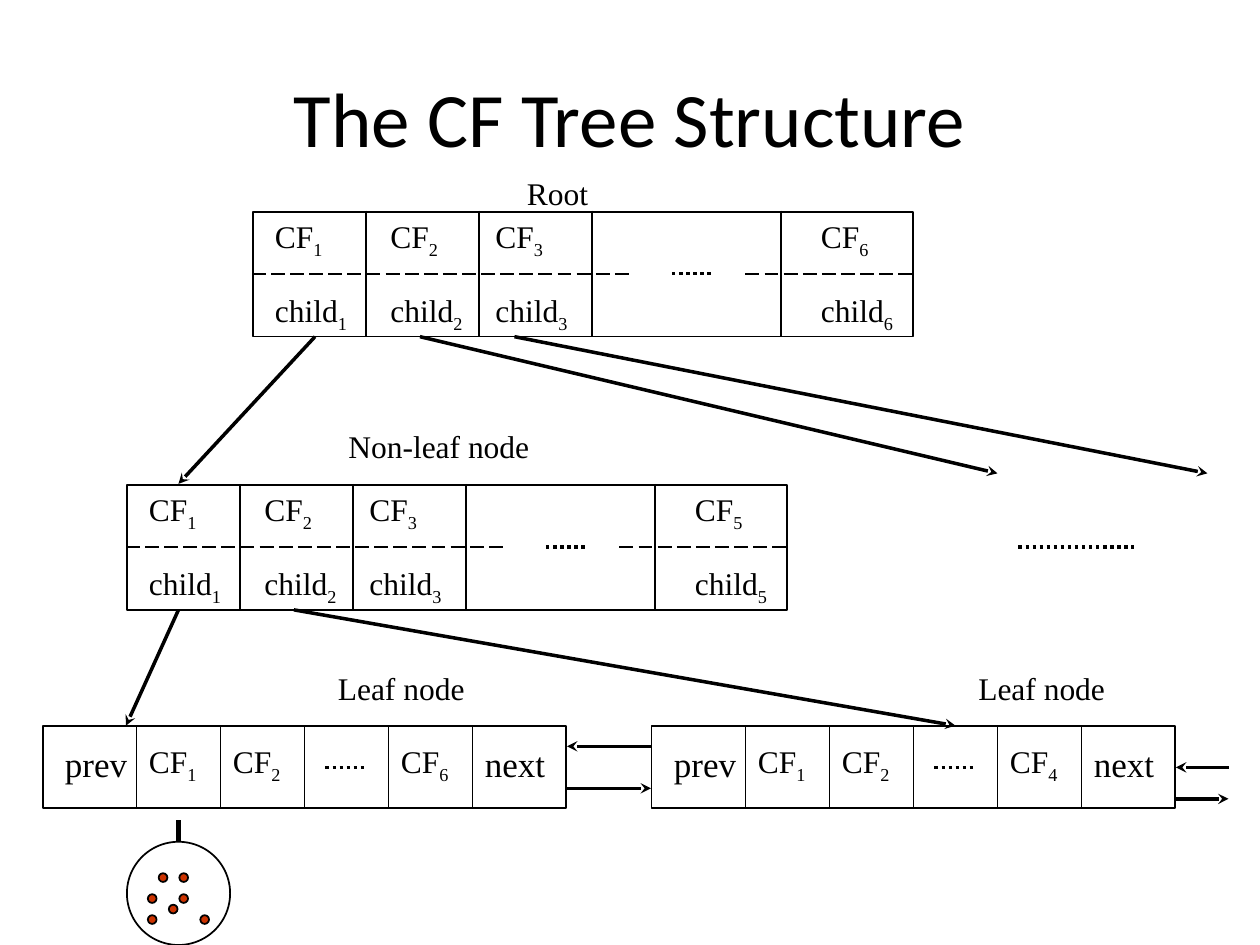
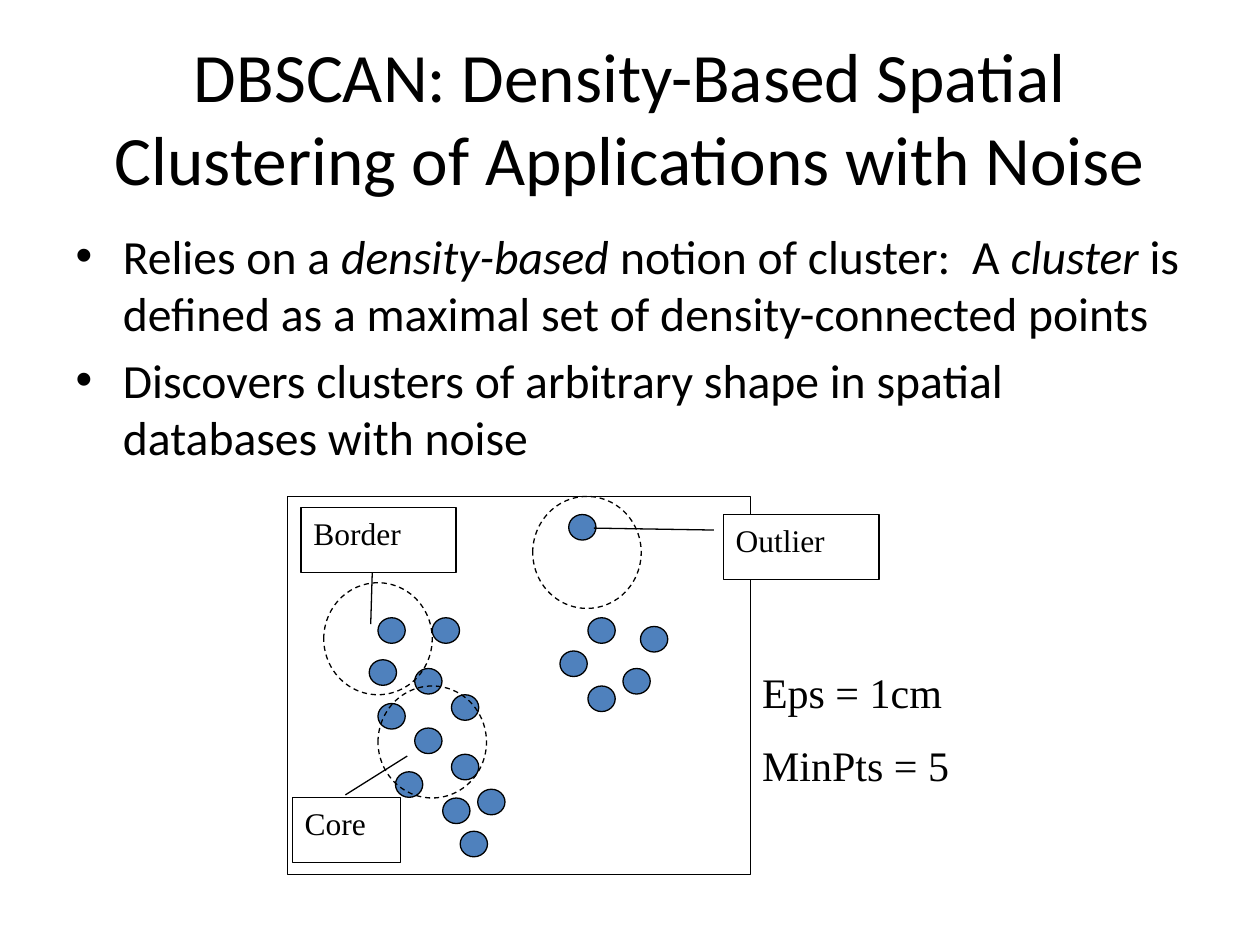
from lxml import etree
from pptx import Presentation
from pptx.dml.color import RGBColor
from pptx.enum.dml import MSO_LINE
from pptx.enum.shapes import MSO_CONNECTOR, MSO_SHAPE
from pptx.enum.text import MSO_ANCHOR, MSO_AUTO_SIZE, PP_ALIGN
from pptx.oxml.ns import qn
from pptx.util import Pt

BLACK = RGBColor(0x00, 0x00, 0x00)
WHITE = RGBColor(0xFF, 0xFF, 0xFF)
RED = RGBColor(0xCC, 0x33, 0x00)
BLUE = RGBColor(0x4F, 0x81, 0xBD)

HEADING_FONT = "Calibri"
DIAGRAM_FONT = "Times New Roman"

RECTANGLE = MSO_SHAPE.RECTANGLE
OVAL = MSO_SHAPE.OVAL
CALLOUT = MSO_SHAPE.LINE_CALLOUT_1
STRAIGHT = MSO_CONNECTOR.STRAIGHT
DASH, LONG_DASH, DOTS = MSO_LINE.DASH, MSO_LINE.LONG_DASH, MSO_LINE.ROUND_DOT
TOP = MSO_ANCHOR.TOP
LEFT = PP_ALIGN.LEFT
NO_FIT, GROW = MSO_AUTO_SIZE.NONE, MSO_AUTO_SIZE.SHAPE_TO_FIT_TEXT

TITLE_ONLY, TITLE_AND_BODY = 5, 1


class Deck:
    """Holds the presentation, its style and the slide being drawn."""

    def __init__(self):
        self.prs = Presentation()
        self.prs.slide_width, self.prs.slide_height = Pt(720), Pt(540)
        self.slide = None

    def start_slide(self, layout, title, size):
        self.slide = self.prs.slides.add_slide(self.prs.slide_layouts[layout])
        heading = self.slide.shapes.title
        self.place(heading, 36, 21.6, 648, 90)
        frame = heading.text_frame
        frame.text = title
        frame.auto_size = NO_FIT
        self.style(frame.paragraphs[0].runs[0], size, HEADING_FONT)

    @staticmethod
    def place(shape, x, y, width, height):
        shape.left, shape.top = Pt(x), Pt(y)
        shape.width, shape.height = Pt(width), Pt(height)

    @staticmethod
    def style(run, size, font=DIAGRAM_FONT):
        run.font.size = Pt(size)
        run.font.name = font
        run.font.color.rgb = BLACK

    def bullets(self, items, box, size):
        """Each item is a list of (text, italic) pieces."""
        body = self.slide.placeholders[1]
        self.place(body, *box)
        frame = body.text_frame
        frame.auto_size = NO_FIT
        for index, pieces in enumerate(items):
            paragraph = frame.add_paragraph() if index else frame.paragraphs[0]
            for text, italic in pieces:
                run = paragraph.add_run()
                run.text = text
                self.style(run, size, HEADING_FONT)
                run.font.italic = italic

    def text(self, text, x, y, width, height, size=18, subscript="", gap=0):
        box = self.slide.shapes.add_textbox(Pt(x), Pt(y), Pt(width), Pt(height))
        frame = box.text_frame
        frame.text = text
        frame.word_wrap = True
        frame.auto_size = GROW
        if subscript:
            index = frame.paragraphs[0].add_run()
            index.text = subscript
            index._r.get_or_add_rPr().set("baseline", "-25000")
        for paragraph in frame.paragraphs:
            for run in paragraph.runs:
                self.style(run, size)
        for paragraph in frame.paragraphs[1:]:
            paragraph.space_before = Pt(gap)

    def shape(self, kind, x, y, width, height, fill=None, weight=1, dash=None):
        shape = self.slide.shapes.add_shape(kind, Pt(x), Pt(y), Pt(width), Pt(height))
        shape.shadow.inherit = False
        if fill is None:
            shape.fill.background()
        else:
            shape.fill.solid()
            shape.fill.fore_color.rgb = fill
        shape.line.color.rgb = BLACK
        shape.line.width = Pt(weight)
        if dash is not None:
            shape.line.dash_style = dash
        return shape

    def callout(self, text, x, y, width, height, pointer):
        box = self.shape(CALLOUT, x, y, width, height, WHITE, 0.75)
        for index, value in enumerate(pointer):
            box.adjustments[index] = value
        frame = box.text_frame
        frame.text = text
        frame.vertical_anchor = TOP
        frame.paragraphs[0].alignment = LEFT
        self.style(frame.paragraphs[0].runs[0], 18)

    def line(self, x1, y1, x2, y2, weight=1, dash=None, arrow=False):
        line = self.slide.shapes.add_connector(STRAIGHT, Pt(x1), Pt(y1), Pt(x2), Pt(y2))
        line.line.color.rgb = BLACK
        line.line.width = Pt(weight)
        if dash is not None:
            line.line.dash_style = dash
        if arrow:
            stroke = line.line._get_or_add_ln()
            etree.SubElement(stroke, qn("a:tailEnd"), type="stealth")
        etree.SubElement(line._element.spPr, qn("a:effectLst"))
        return line

    def arrow(self, x1, y1, x2, y2):
        self.line(x1, y1, x2, y2, 2, arrow=True)

    def dots(self, x1, x2, y):
        self.line(x1, y, x2, y, 2, DOTS)


def draw_inner_node(deck, left, top, last_entry):
    """A root or non-leaf node: CF entries above their child pointers."""
    middle = top + 36
    deck.shape(RECTANGLE, left + 0.7, top + 0.7, 377, 71.3)
    for offset in (65, 129.7, 194.4, 302.4):
        deck.line(left + offset, top, left + offset, top + 72)
    deck.line(left, middle, left + 216, middle, dash=LONG_DASH)
    deck.line(left + 282, middle, left + 378, middle, dash=LONG_DASH)
    deck.dots(left + 240, left + 264, middle)
    for offset, entry in ((6, "1"), (72, "2"), (132, "3"), (318, last_entry)):
        deck.text("CF", left + offset, top, 54, 36, subscript=entry)
        deck.text("child", left + offset, top + 42.2, 72, 29, subscript=entry)


def draw_leaf_node(deck, left, top, last_entry):
    """A leaf node: CF entries between links to its neighbours."""
    first_cell, cell = 54, 48
    deck.shape(RECTANGLE, left + 0.4, top, 299, 47)
    for index in range(5):
        divider = left + first_cell + index * cell
        deck.line(divider, top, divider, top + 47.3)
    for index, entry in ((0, "1"), (1, "2"), (3, last_entry)):
        deck.text("CF", left + first_cell + index * cell, top + 6, 54, 36, subscript=entry)
    deck.dots(left + 162, left + 186, top + 24)
    deck.text("prev", left + 6, top + 6, 54, 31, 20)
    deck.text("next", left + 246, top + 6, 54, 31, 20)


def draw_cf_tree(deck):
    deck.start_slide(TITLE_ONLY, "The CF Tree Structure", 44)
    root_top, inner_top, leaf_top = 120.4, 276.5, 414.7
    draw_inner_node(deck, 144, root_top, "6")
    draw_inner_node(deck, 72, inner_top, "5")
    draw_leaf_node(deck, 24, leaf_top, "6")
    draw_leaf_node(deck, 372, leaf_top, "4")
    deck.dots(582, 648, inner_top + 36)

    root_bottom, inner_bottom = root_top + 72, inner_top + 72
    for start, end, end_y in ((180, 102, inner_top), (240, 570, 270.5), (294, 690, 270.5)):
        deck.arrow(start, root_bottom, end, end_y)
    for start, end in ((102, 72), (168, 546)):
        deck.arrow(start, inner_bottom, end, leaf_top)
    for start, end, y in ((372, 324, 426.5), (324, 372, 450.5),
                          (672, 702, 456.5), (702, 672, 438.5)):
        deck.arrow(start, y, end, y)

    for label, x, y, width in (("Root", 294, 96, 78), ("Non-leaf node", 192, 240.5, 156),
                               ("Leaf node", 186, 378.7, 114), ("Leaf node", 552, 378.7, 114)):
        deck.text(label, x, y, width, 36)

    for x, y in ((90.7, 499), (102.5, 511), (102.5, 499), (84.5, 523),
                 (84.5, 511), (96.5, 517), (114.5, 523)):
        deck.shape(OVAL, x, y, 5, 5, RED)
    subcluster = deck.shape(OVAL, 72.5, 481, 59, 59)
    deck.line(102, 468.7, 102, 481, 3).end_connect(subcluster, 0)


def draw_dbscan(deck):
    deck.start_slide(
        TITLE_AND_BODY,
        "DBSCAN: Density-Based Spatial Clustering of Applications with Noise", 39.6)
    deck.bullets([
        [("Relies on a ", False), ("density-based", True),
         (" notion of cluster:  A ", False), ("cluster", True),
         (" is defined as a maximal set of density-connected points", False)],
        [("Discovers clusters of arbitrary shape in spatial databases with noise", False)],
    ], (36, 126, 648, 138), 27.2)

    border_cluster = [(216, 353), (211, 377), (237, 382), (247, 353), (258, 397), (216, 402),
                      (237, 416), (226, 441), (253, 456), (263, 475), (258, 431), (273, 451)]
    round_cluster = [(336, 353), (320, 372), (356, 382), (366, 358), (336, 392)]
    outlier = (325, 294)
    for x, y in border_cluster + round_cluster + [outlier]:
        deck.shape(OVAL, x, y, 15.6, 14.6, BLUE, 0.75)

    deck.shape(RECTANGLE, 164.2, 283.7, 264.5, 216, weight=0.75)
    for x, y in ((185, 333), (216, 392), (304.4, 283.7)):
        deck.shape(OVAL, x, y, 62, 64, weight=0.75, dash=DASH)
    deck.callout("Core", 167, 455.7, 62, 37, (-0.04, 0.49, -0.64, 1.06))
    deck.callout("Border", 172, 290, 88.6, 37, (1.01, 0.46, 1.8, 0.45))
    deck.callout("Outlier", 413.3, 294, 89, 37, (0.24, -0.06, 0.21, -0.83))
    deck.text("Eps = 1cm\nMinPts = 5", 428.4, 377.3, 130, 79, 24, gap=13)


def main():
    deck = Deck()
    draw_cf_tree(deck)
    draw_dbscan(deck)
    deck.prs.save("out.pptx")


if __name__ == "__main__":
    main()
